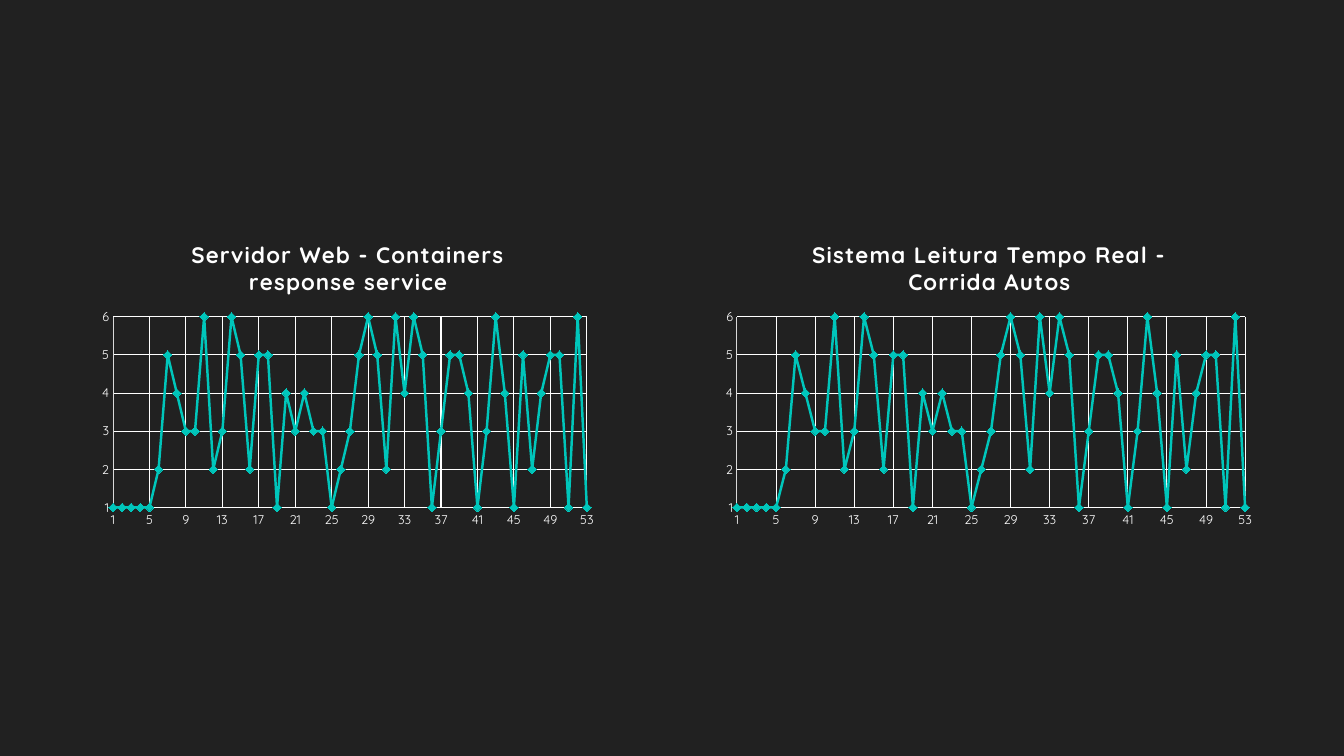
from lxml import etree
from pptx import Presentation
from pptx import util as u
from pptx.chart.data import XyChartData
from pptx.dml.color import RGBColor
from pptx.enum import chart as c
from pptx.oxml import parse_xml
from pptx.oxml.ns import nsdecls, qn

BACKGROUND = RGBColor(0x21, 0x21, 0x21)
WHITE = RGBColor(0xFF, 0xFF, 0xFF)
GREY = RGBColor(0xD9, 0xD9, 0xD9)
TEAL = RGBColor(0x00, 0xC6, 0xBB)
FONT = "Quicksand"

CHARTS = [
    ("Servidor Web - Containers response service", 65.5, 366.5),
    ("Sistema Leitura Tempo Real - Corrida Autos", 511.2, 391),
]
READINGS = [
    1, 1, 1, 1, 1, 2, 5, 4, 3, 3, 6, 2, 3, 6, 5, 2, 5, 5, 1, 4, 3, 4, 3, 3, 1, 2, 3,
    5, 6, 5, 2, 6, 4, 6, 5, 1, 3, 5, 5, 4, 1, 3, 6, 4, 1, 5, 2, 4, 5, 5, 1, 6, 1,
]
CHART_TOP, CHART_HEIGHT = 159.1, 221.8
PLOT_LEFT, PLOT_RIGHT, PLOT_TOP, PLOT_HEIGHT = 15.2, 12.8, 67.2, 136.2


def style_font(font, size, bold=False):
    font.name = FONT
    font.size = u.Pt(size)
    font.bold = bold
    font.color.rgb = WHITE


def style_line(line, color, width):
    line.color.rgb = color
    line.width = u.Pt(width)


def style_axis(axis, maximum, step, color):
    axis.minimum_scale, axis.maximum_scale, axis.major_unit = 1, maximum, step
    axis.major_tick_mark = axis.minor_tick_mark = c.XL_TICK_MARK.NONE
    axis.has_major_gridlines = True
    style_line(axis.major_gridlines.format.line, WHITE, 0.75)
    style_line(axis.format.line, color, 0.75)
    style_font(axis.tick_labels.font, 9)
    axis.tick_labels.number_format = "General"
    axis.tick_labels.number_format_is_linked = False


def place_plot(chart, width):
    fractions = {
        "x": PLOT_LEFT / width,
        "y": PLOT_TOP / CHART_HEIGHT,
        "w": (width - PLOT_LEFT - PLOT_RIGHT) / width,
        "h": PLOT_HEIGHT / CHART_HEIGHT,
    }
    plot_area = chart.element.find(".//" + qn("c:plotArea"))
    for old_layout in plot_area.findall(qn("c:layout")):
        plot_area.remove(old_layout)
    layout = parse_xml(f"<c:layout {nsdecls('c')}><c:manualLayout/></c:layout>")
    settings = [("layoutTarget", "inner"), ("xMode", "edge"), ("yMode", "edge")]
    settings += [(key, f"{value:.4f}") for key, value in fractions.items()]
    for tag, value in settings:
        etree.SubElement(layout[0], qn("c:" + tag)).set("val", value)
    plot_area.insert(0, layout)


def add_readings_chart(slide, title, left, width):
    data = XyChartData()
    points = data.add_series("Series 1")
    for moment, reading in enumerate(READINGS, 1):
        points.add_data_point(moment, reading)
    chart = slide.shapes.add_chart(
        c.XL_CHART_TYPE.XY_SCATTER_LINES, u.Pt(left), u.Pt(CHART_TOP),
        u.Pt(width), u.Pt(CHART_HEIGHT), data,
    ).chart
    chart.has_legend = False
    style_font(chart.font, 10)

    chart.has_title = True
    chart.chart_title.include_in_layout = False
    paragraph = chart.chart_title.text_frame.paragraphs[0]
    paragraph.text = title
    font = paragraph.runs[0].font
    style_font(font, 16, True)
    paragraph.runs[0]._r.get_or_add_rPr().set("spc", "100")

    style_axis(chart.category_axis, 53, 4, WHITE)
    style_axis(chart.value_axis, 6, 1, GREY)
    place_plot(chart, width)

    plot = chart.plots[0]
    plot.vary_by_categories = False
    series = plot.series[0]
    series.smooth = False
    style_line(series.format.line, TEAL, 1.75)
    series.marker.style = c.XL_MARKER_STYLE.DIAMOND
    series.marker.size = 6
    series.marker.format.fill.solid()
    series.marker.format.fill.fore_color.rgb = TEAL
    style_line(series.marker.format.line, TEAL, 0.75)


presentation = Presentation()
presentation.slide_width, presentation.slide_height = u.Pt(960), u.Pt(540)
slide = presentation.slides.add_slide(presentation.slide_layouts[6])
slide.background.fill.solid()
slide.background.fill.fore_color.rgb = BACKGROUND
for title, left, width in CHARTS:
    add_readings_chart(slide, title, left, width)
presentation.save("out.pptx")
